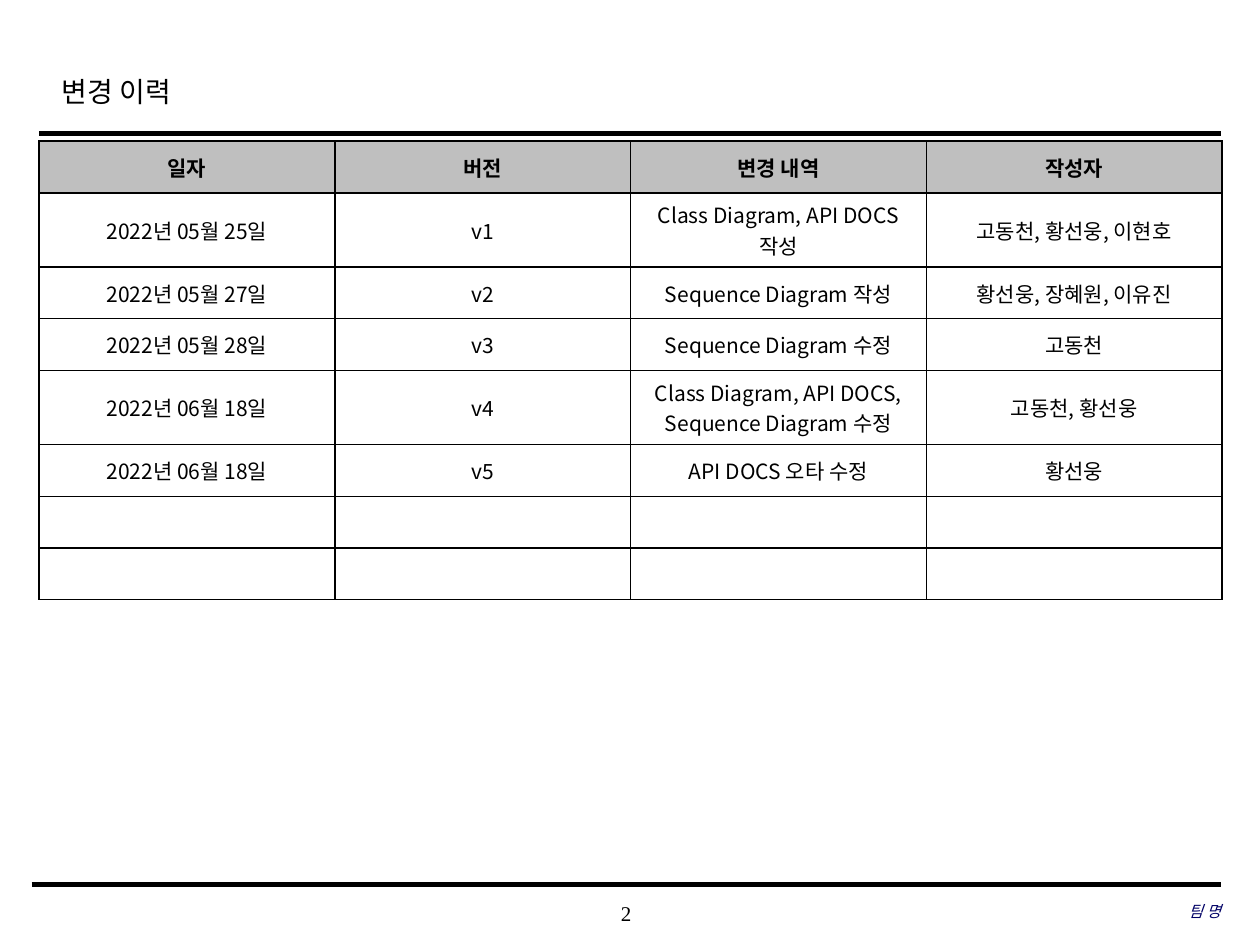
from lxml import etree
from pptx import Presentation
from pptx.dml.color import RGBColor
from pptx.enum import shapes, text
from pptx.oxml import ns
from pptx.util import Inches, Pt

KOREAN = "Noto Sans CJK KR"
SERIF = "Times New Roman"
color = RGBColor.from_string


def write(para, words, size, font, ink="000000", bold=False, italic=False):
    span = para.add_run()
    span.text = words
    span.font.size = Pt(size)
    span.font.name = font
    span.font.bold = bold
    span.font.italic = italic
    span.font.color.rgb = color(ink)
    etree.SubElement(span.font._element, ns.qn("a:ea"), typeface=KOREAN)


deck = Presentation()
deck.slide_width, deck.slide_height = Inches(10), Inches(7.5)
page = deck.slides.add_slide(deck.slide_layouts[5])

# Rules above the table and above the footer
for left, top, width in [(0.31, 1.06, 2.5), (0.25, 7.02, 3)]:
    rule = page.shapes.add_connector(
        shapes.MSO_CONNECTOR.STRAIGHT,
        Inches(left), Inches(top), Inches(9.69), Inches(top))
    rule.line.color.rgb = color("000000")
    rule.line.width = Pt(width)
    etree.SubElement(rule._element.spPr, ns.qn("a:effectLst"))

# Title
title = page.shapes.title
title.left, title.top = Inches(0.39), Inches(0.45)
title.width, title.height = Inches(7.55), Inches(0.5)
title.text_frame.vertical_anchor = text.MSO_ANCHOR.MIDDLE
heading = title.text_frame.paragraphs[0]
heading.alignment = text.PP_ALIGN.LEFT
heading.line_spacing = 1.2
write(heading, "변경 이력", 16, SERIF)

# Footer: page number and team name
footers = [
    ("2", 3.93, 7.08, 2.08, text.PP_ALIGN.CENTER, 12, "000000", False),
    ("팀 명", 6.63, 7.07, 3.06, text.PP_ALIGN.RIGHT, 9, "000066", True),
]
for words, left, top, width, align, size, ink, italic in footers:
    box = page.shapes.add_textbox(
        Inches(left), Inches(top), Inches(width), Inches(0.33))
    frame = box.text_frame
    frame.word_wrap = True
    frame.vertical_anchor = text.MSO_ANCHOR.MIDDLE
    frame.margin_left = frame.margin_right = 0
    frame.margin_top = frame.margin_bottom = 0
    frame.paragraphs[0].alignment = align
    write(frame.paragraphs[0], words, size, SERIF, ink, italic=italic)

# Revision history table; rows with a two-line entry are taller
ROW, TALL_ROW = 0.41, 0.59
history = [
    (ROW, "일자", "버전", "변경 내역", "작성자"),
    (TALL_ROW, "2022년 05월 25일", "v1", "Class Diagram, API DOCS 작성", "고동천, 황선웅, 이현호"),
    (ROW, "2022년 05월 27일", "v2", "Sequence Diagram 작성", "황선웅, 장혜원, 이유진"),
    (ROW, "2022년 05월 28일", "v3", "Sequence Diagram 수정", "고동천"),
    (TALL_ROW, "2022년 06월 18일", "v4", "Class Diagram, API DOCS, Sequence Diagram 수정", "고동천, 황선웅"),
    (ROW, "2022년 06월 18일", "v5", "API DOCS 오타 수정", "황선웅"),
    (ROW, "", "", "", ""),
    (ROW, "", "", "", ""),
]
table = page.shapes.add_table(
    len(history), 4, Inches(0.31), Inches(1.12),
    Inches(9.39), Inches(sum(entry[0] for entry in history))).table
for column in table.columns:
    column.width = Inches(9.39 / 4)

for row, (height, *entries) in enumerate(history):
    table.rows[row].height = Inches(height)
    for col, words in enumerate(entries):
        cell = table.cell(row, col)
        cell.vertical_anchor = text.MSO_ANCHOR.MIDDLE
        para = cell.text_frame.paragraphs[0]
        para.alignment = text.PP_ALIGN.CENTER
        if words:
            write(para, words, 12, KOREAN, bold=row == 0)
        else:
            # Keeps an empty row as low as the written ones
            etree.SubElement(para._p, ns.qn("a:endParaRPr"), sz="1200")

        # Borders come before the fill in the cell properties
        props = cell._tc.get_or_add_tcPr()
        for side in ("lnL", "lnR", "lnT", "lnB"):
            border = etree.SubElement(props, ns.qn(f"a:{side}"), w=str(Pt(1)))
            paint = etree.SubElement(border, ns.qn("a:solidFill"))
            etree.SubElement(paint, ns.qn("a:srgbClr"), val="000000")
        cell.fill.solid()
        cell.fill.fore_color.rgb = color("BFBFBF" if row == 0 else "FFFFFF")

deck.save("out.pptx")
